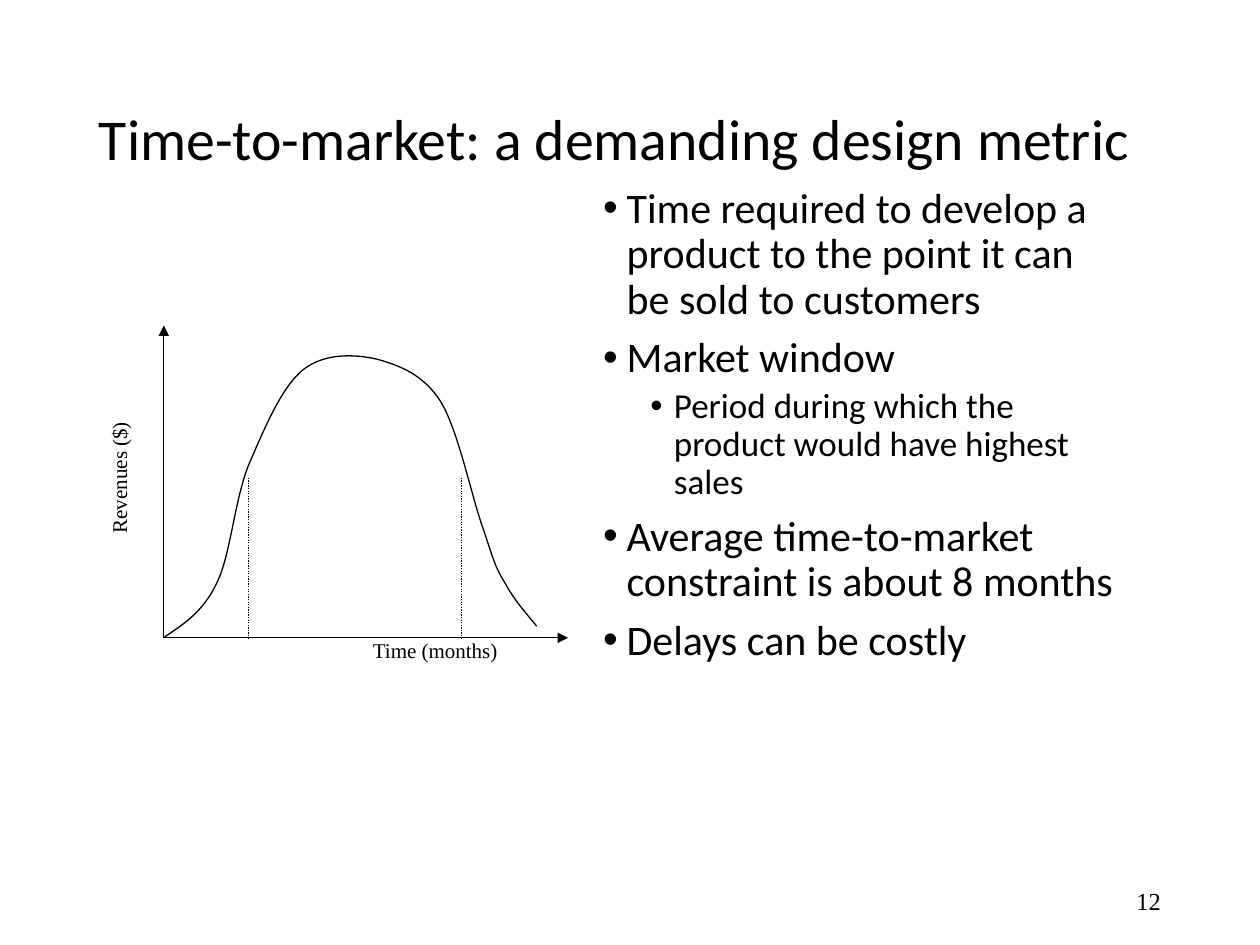
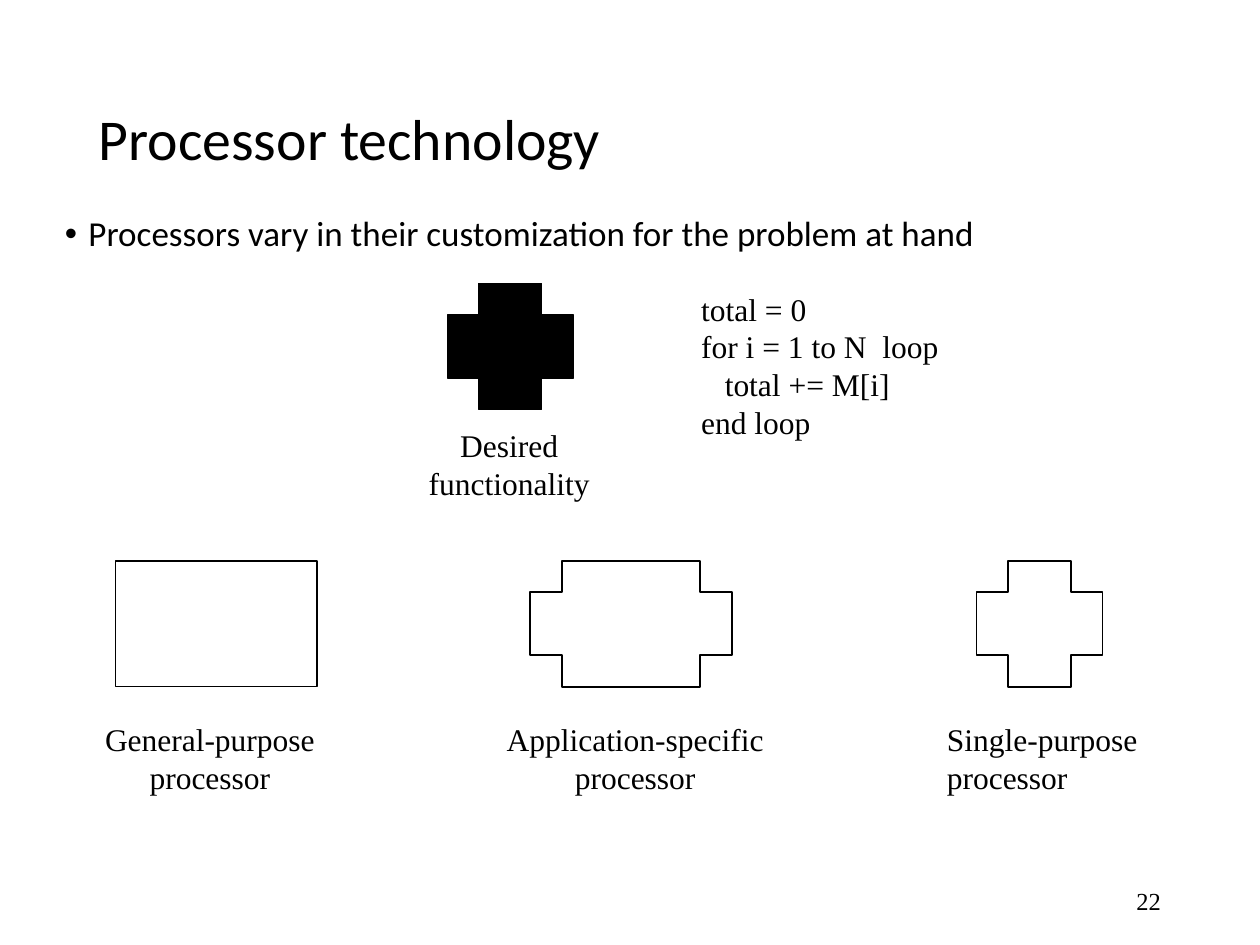
from dataclasses import dataclass

from lxml import etree
from pptx import Presentation, util as u
from pptx.dml.color import RGBColor
from pptx.enum import dml, shapes, text
from pptx.oxml.ns import qn


@dataclass(frozen=True)
class Theme:
    ink: RGBColor = RGBColor(0, 0, 0)
    paper: RGBColor = RGBColor(255, 255, 255)
    heading_font: str = "Calibri"
    label_font: str = "Times New Roman"
    title: int = 33
    body: int = 24
    sub: int = 20
    label: int = 18
    number: int = 14
    axis: int = 12
    thin: float = 0.75
    outline: float = 1


theme = Theme()
LEFT, CENTER, RIGHT = text.PP_ALIGN.LEFT, text.PP_ALIGN.CENTER, text.PP_ALIGN.RIGHT
TOP, MIDDLE = text.MSO_ANCHOR.TOP, text.MSO_ANCHOR.MIDDLE

deck = Presentation()
deck.slide_width, deck.slide_height = u.Inches(10), u.Inches(7.5)

# A grid of 120 columns and 90 rows of square cells covers the slide.
CELL = deck.slide_width // 120


def add_text(slide, box, lines, size, font=theme.label_font, align=LEFT, anchor=TOP,
             inset=(1.2, 0.6)):
    """Write one paragraph per line into a box given in grid cells."""
    holder = slide.shapes.add_textbox(*[round(n * CELL) for n in box])
    frame = holder.text_frame
    frame.word_wrap = True
    frame.vertical_anchor = anchor
    frame.margin_left = frame.margin_right = round(inset[0] * CELL)
    frame.margin_top = frame.margin_bottom = round(inset[1] * CELL)
    frame.text = "\n".join(lines)
    for paragraph in frame.paragraphs:
        paragraph.alignment = align
        for run in paragraph.runs:
            run.font.name, run.font.size = font, u.Pt(size)
            run.font.color.rgb = theme.ink
    return holder


def add_line(slide, start, end, dotted=False):
    """Draw a dotted marker, or an axis with an arrowhead at its end."""
    ends = [round(n * CELL) for n in (*start, *end)]
    connector = slide.shapes.add_connector(shapes.MSO_CONNECTOR.STRAIGHT, *ends)
    connector.line.color.rgb = theme.ink
    connector.line.width = u.Pt(theme.thin)
    properties = connector.element.spPr
    if dotted:
        connector.line.dash_style = dml.MSO_LINE.ROUND_DOT
    else:
        etree.SubElement(properties.find(qn("a:ln")), qn("a:tailEnd"), type="triangle")
    etree.SubElement(properties, qn("a:effectLst"))


# Title, bullets and slide number of both slides
outlines = [
    ("Time-to-market: a demanding design metric", "12", (56.25, 17.25, 51, 57), [
        ("Time required to develop a product to the point it can be sold to customers",
         0, theme.body),
        ("Market window", 0, theme.body),
        ("Period during which the product would have highest sales", 1, theme.sub),
        ("Average time-to-market constraint is about 8 months", 0, theme.body),
        ("Delays can be costly", 0, theme.body),
    ]),
    ("Processor technology", "22", (5, 20, 112, 10), [
        ("Processors vary in their customization for the problem at hand", 0, theme.sub),
    ]),
]
for title, number, body_box, points in outlines:
    slide = deck.slides.add_slide(deck.slide_layouts[6])
    slide.background.fill.solid()
    slide.background.fill.fore_color.rgb = theme.paper
    heading = add_text(slide, (8.25, 4.75, 103.5, 17.5), [title], theme.title,
                       theme.heading_font, anchor=MIDDLE)
    heading.text_frame.paragraphs[0].line_spacing = 0.9
    add_text(slide, (84.75, 83.4, 27, 4.8), [number], theme.number,
             align=RIGHT, anchor=MIDDLE)

    body = add_text(slide, body_box, [point[0] for point in points], theme.body,
                    theme.heading_font)
    for paragraph, (_, level, size) in zip(body.text_frame.paragraphs, points):
        paragraph.level = level
        paragraph.line_spacing = 0.9
        paragraph.space_before = u.Pt(3.75 if level else 7.5)
        paragraph.runs[0].font.size = u.Pt(size)
        properties = paragraph._p.get_or_add_pPr()
        properties.set("marL", str(u.Pt(13.5 + 27 * level)))
        properties.set("indent", str(-u.Pt(13.5)))
        etree.SubElement(properties, qn("a:buFont"), typeface="Arial")
        etree.SubElement(properties, qn("a:buChar"), char="•")

market, processors = deck.slides

# Market window: revenues over time
origin_x, origin_y = 15.6, 60.75
add_line(market, (origin_x, origin_y), (origin_x, 31))
add_line(market, (origin_x, origin_y), (54.1, origin_y))
for window_edge in (23.7, 43.95):
    add_line(market, (window_edge, 45.5), (window_edge, origin_y), dotted=True)
revenue_label = add_text(market, (0.3, 43.3, 24, 4.4), ["Revenues ($)"], theme.axis,
                         align=CENTER, inset=(0, 0))
revenue_label.rotation = 270
add_text(market, (31.8, origin_y, 19.3, 4), ["Time (months)"], theme.axis,
         align=CENTER, inset=(0, 0))

# Each row holds two control points and the end of one Bézier piece, in inches.
revenue_curve = [
    ((1.45, 4.96), (1.61, 4.86), (1.72, 4.63)),
    ((1.83, 4.41), (1.86, 3.98), (1.97, 3.70)),
    ((2.09, 3.42), (2.23, 3.08), (2.40, 2.94)),
    ((2.57, 2.80), (2.81, 2.81), (2.99, 2.85)),
    ((3.17, 2.90), (3.36, 2.97), (3.50, 3.19)),
    ((3.64, 3.42), (3.75, 3.97), (3.84, 4.21)),
    ((3.92, 4.45), (3.93, 4.50), (4.01, 4.63)),
    ((4.08, 4.76), (4.17, 4.86), (4.26, 4.97)),
]
STEPS = 16
piece_start = (1.3, 5.06)
curve_points = []
for control_a, control_b, piece_end in revenue_curve:
    for step in range(1, STEPS + 1):
        t = step / STEPS
        weights = ((1 - t) ** 3, 3 * t * (1 - t) ** 2, 3 * t ** 2 * (1 - t), t ** 3)
        knots = (piece_start, control_a, control_b, piece_end)
        curve_points.append(tuple(
            u.Inches(sum(w * knot[axis] for w, knot in zip(weights, knots)))
            for axis in (0, 1)))
    piece_start = piece_end
builder = market.shapes.build_freeform(u.Inches(1.3), u.Inches(5.06))
builder.add_line_segments(curve_points, close=False)
revenue = builder.convert_to_shape()
revenue.shadow.inherit = False
revenue.fill.background()
revenue.line.color.rgb = theme.ink
revenue.line.width = u.Pt(theme.thin)

# Desired functionality and the three kinds of processor that cover it
PLUS, BLOCK = shapes.MSO_SHAPE.CROSS, shapes.MSO_SHAPE.RECTANGLE
PROCESSOR_ROW, CAPTION_ROW = 53.4, 68
coverage = [
    (PLUS, (42.6, 27, 12, 12), theme.ink, theme.thin,
     "Desired functionality", (36, 40, 25, 8.6), CENTER, 0),
    (BLOCK, (11, PROCESSOR_ROW, 19.2, 12), theme.paper, theme.outline,
     "General-purpose processor", (8, CAPTION_ROW, 24, 11), CENTER, 1.2),
    (PLUS, (50.5, PROCESSOR_ROW, 19.2, 12), theme.paper, theme.outline,
     "Application-specific processor", (46, CAPTION_ROW, 29, 9), CENTER, 1.2),
    (PLUS, (93, PROCESSOR_ROW, 12, 12), theme.paper, theme.outline,
     "Single-purpose processor", (89, CAPTION_ROW, 22, 8.6), LEFT, 1.2),
]
for outline, box, fill, weight, caption, caption_box, align, side_inset in coverage:
    figure = processors.shapes.add_shape(outline, *[round(n * CELL) for n in box])
    figure.shadow.inherit = False
    figure.fill.solid()
    figure.fill.fore_color.rgb = fill
    figure.line.color.rgb = theme.ink
    figure.line.width = u.Pt(weight)
    if outline == PLUS:
        figure.adjustments[0] = 0.25
    add_text(processors, caption_box, [caption], theme.label, align=align,
             inset=(side_inset, 0.6))

summation = add_text(
    processors, (65.6, 27, 29.4, 20.4),
    ["total = 0", "for i = 1 to N  loop", "total += M[i]", "end loop"], theme.label)
loop_body = summation.text_frame.paragraphs[2]
loop_body._p.get_or_add_pPr().set("marL", str(u.Pt(13.5)))

deck.save("out.pptx")
